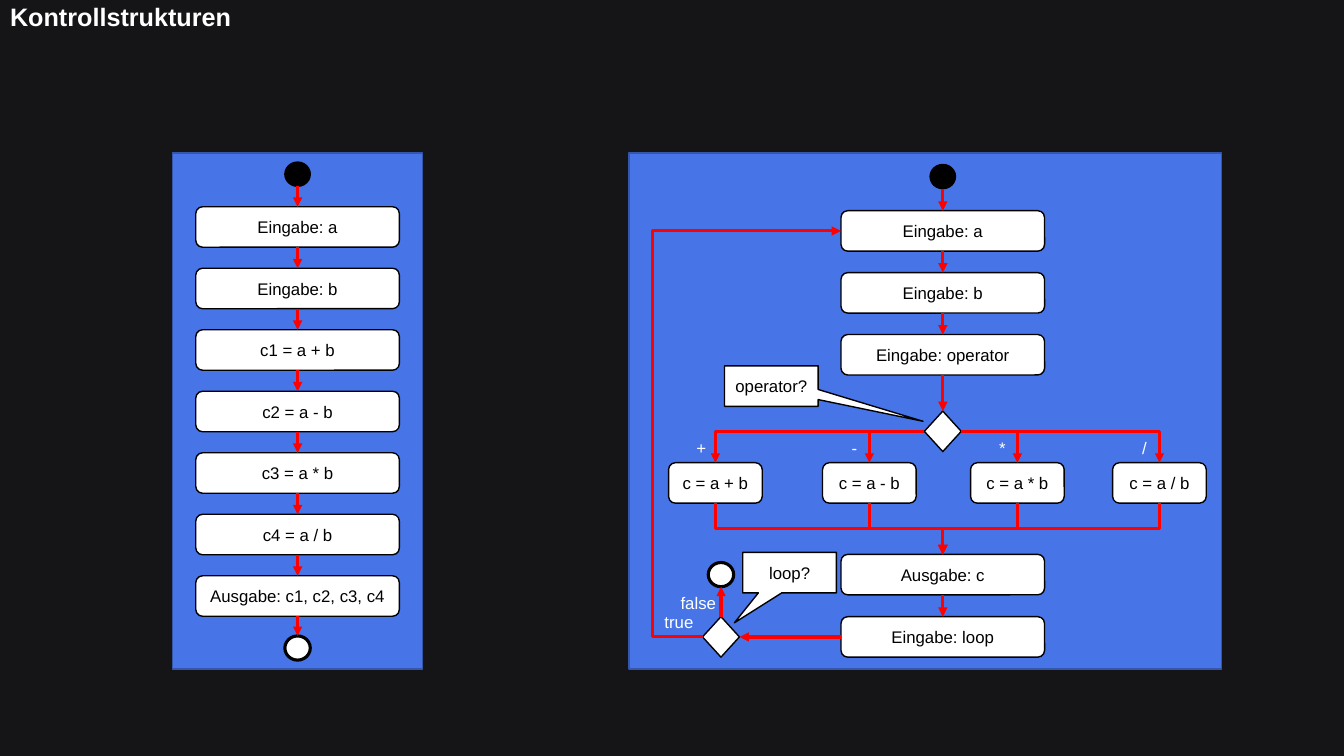
from dataclasses import dataclass

import lxml.etree
import pptx
import pptx.dml.color
import pptx.enum.shapes
import pptx.enum.text
import pptx.oxml.ns
import pptx.util

Cm = pptx.util.Cm
Pt = pptx.util.Pt
Kind = pptx.enum.shapes.MSO_SHAPE
Align = pptx.enum.text.PP_ALIGN
Route = pptx.enum.shapes.MSO_CONNECTOR
qn = pptx.oxml.ns.qn


@dataclass(frozen=True)
class Theme:
    font: str = "Arial"
    background: str = "151517"
    panel: str = "4775E7"
    panel_edge: str = "3557AB"
    light: str = "FFFFFF"
    dark: str = "000000"
    arrow: str = "FF0000"
    title_size: int = 18
    text_size: int = 12
    thin: float = 1
    thick: float = 2.25


THEME = Theme()


@dataclass(frozen=True)
class Node:
    """A shape placed by its centre, in centimetres."""
    x: float
    y: float
    width: float
    height: float
    kind: Kind
    text: str = ""
    fill: str = THEME.light
    edge: str = THEME.dark
    edge_width: float = THEME.thin
    adjustments: tuple[float, ...] = ()

    @property
    def left(self) -> tuple[float, float]:
        return self.x - self.width / 2, self.y

    @property
    def right(self) -> tuple[float, float]:
        return self.x + self.width / 2, self.y

    @property
    def top(self) -> tuple[float, float]:
        return self.x, self.y - self.height / 2

    @property
    def bottom(self) -> tuple[float, float]:
        return self.x, self.y + self.height / 2


@dataclass(frozen=True)
class Label:
    x: float
    y: float
    width: float
    text: str


def step(x: float, y: float, text: str, width: float = 5.13) -> Node:
    return Node(x, y, width, 1.02, Kind.ROUNDED_RECTANGLE, text)


def decision(x: float, y: float) -> Node:
    return Node(x, y, 0.93, 1.02, Kind.DIAMOND)


def start(x: float, y: float) -> Node:
    return Node(x, y, 0.64, 0.61, Kind.FLOWCHART_CONNECTOR, fill=THEME.dark)


def end(x: float, y: float) -> Node:
    return Node(x, y, 0.64, 0.61, Kind.FLOWCHART_CONNECTOR, edge_width=THEME.thick)


def callout(x: float, y: float, text: str, tip: tuple[float, float]) -> Node:
    return Node(x, y, 2.36, 1.02, Kind.RECTANGULAR_CALLOUT, text, adjustments=tip)


def panel(x: float, width: float) -> Node:
    return Node(x, 10.36, width, 13, Kind.RECTANGLE, fill=THEME.panel, edge=THEME.panel_edge)


def rgb(code: str) -> pptx.dml.color.RGBColor:
    return pptx.dml.color.RGBColor.from_string(code)


def write(para, text: str, color: str, size: int = THEME.text_size, bold: bool = False) -> None:
    span = para.add_run()
    span.text = text
    span.font.name = THEME.font
    span.font.size = Pt(size)
    span.font.bold = bold
    span.font.color.rgb = rgb(color)


def draw_node(page, node: Node) -> None:
    shape = page.shapes.add_shape(node.kind, Cm(node.left[0]), Cm(node.top[1]),
                                  Cm(node.width), Cm(node.height))
    shape.shadow.inherit = False
    shape.fill.solid()
    shape.fill.fore_color.rgb = rgb(node.fill)
    shape.line.color.rgb = rgb(node.edge)
    shape.line.width = Pt(node.edge_width)
    for index, value in enumerate(node.adjustments):
        shape.adjustments[index] = value
    if node.text:
        frame = shape.text_frame
        frame.margin_left = frame.margin_right = Cm(0.1)
        frame.vertical_anchor = pptx.enum.text.MSO_ANCHOR.MIDDLE
        frame.paragraphs[0].alignment = Align.CENTER
        write(frame.paragraphs[0], node.text, THEME.dark)


def draw_label(page, label: Label) -> None:
    height = 0.77
    box = page.shapes.add_textbox(Cm(label.x - label.width / 2), Cm(label.y - height / 2),
                                  Cm(label.width), Cm(height))
    box.text_frame.word_wrap = False
    para = box.text_frame.paragraphs[0]
    para.alignment = Align.CENTER
    write(para, label.text, THEME.light)


def draw_arrow(page, tail: tuple[float, float], head: tuple[float, float],
               route: Route = Route.STRAIGHT):
    line = page.shapes.add_connector(route, *(Cm(length) for length in (*tail, *head)))
    line.line.color.rgb = rgb(THEME.arrow)
    line.line.width = Pt(THEME.thick)
    properties = line._element.spPr
    lxml.etree.SubElement(properties.find(qn("a:ln")), qn("a:tailEnd"), type="triangle")
    lxml.etree.SubElement(properties, qn("a:effectLst"))
    return line


def draw_corner(page, tail: tuple[float, float], head: tuple[float, float]) -> None:
    """One bend: across, then down."""
    line = draw_arrow(page, tail, head, Route.ELBOW)
    line._element.spPr.find(qn("a:prstGeom")).set("prst", "bentConnector2")


def draw_merge(page, tail: tuple[float, float], head: tuple[float, float]) -> None:
    """Two bends: down, across and down, as a quarter-turned elbow."""
    x, y = (tail[0] + head[0]) / 2, (tail[1] + head[1]) / 2
    across, down = (head[0] - tail[0]) / 2, (head[1] - tail[1]) / 2
    side = 1 if across > 0 else -1
    line = draw_arrow(page, (x + side * down, y - abs(across)),
                      (x - side * down, y + abs(across)), Route.ELBOW)
    quarter_turns = 3 if across > 0 else 1
    line._element.spPr.find(qn("a:xfrm")).set("rot", str(quarter_turns * 5400000))


def draw_loop(page, tail: tuple[float, float], head: tuple[float, float], bend: float) -> None:
    line = draw_arrow(page, tail, head, Route.ELBOW)
    guides = line._element.spPr.find(qn("a:prstGeom")).get_or_add_avLst()
    lxml.etree.SubElement(guides, qn("a:gd"), name="adj1", fmla=f"val {round(bend * 100000)}")


def draw_chain(page, nodes: list[Node]) -> None:
    for upper, lower in zip(nodes, nodes[1:]):
        draw_arrow(page, upper.bottom, lower.top)


def draw_title(page, text: str) -> None:
    title = page.shapes.title
    title.left, title.top, title.width, title.height = Cm(0), Cm(0), Cm(33.87), Cm(0.94)
    frame = title.text_frame
    frame.auto_size = pptx.enum.text.MSO_AUTO_SIZE.NONE
    frame.vertical_anchor = pptx.enum.text.MSO_ANCHOR.MIDDLE
    para = frame.paragraphs[0]
    para.alignment = Align.LEFT
    para.line_spacing = 0.9
    write(para, text, THEME.light, THEME.title_size, bold=True)


def draw_sequence(page) -> None:
    x, first, pitch = 7.5, 5.72, 1.55
    texts = ["Eingabe: a", "Eingabe: b", "c1 = a + b", "c2 = a - b", "c3 = a * b",
             "c4 = a / b", "Ausgabe: c1, c2, c3, c4"]
    steps = [step(x, first + row * pitch, text) for row, text in enumerate(texts)]
    chain = [start(x, 4.39), *steps, end(x, 16.33)]
    for node in [panel(x, 6.3), *chain]:
        draw_node(page, node)
    draw_chain(page, chain)


def draw_calculator(page) -> None:
    x, first, pitch = 23.76, 5.82, 1.56
    texts = ["Eingabe: a", "Eingabe: b", "Eingabe: operator"]
    inputs = [step(x, first + row * pitch, text) for row, text in enumerate(texts)]
    choice = decision(x, 10.87)
    branches = {sign: step(centre, 12.17, f"c = a {sign} b", 2.36)
                for sign, centre in zip("+-*/", (18.03, 21.91, 25.64, 29.22))}
    output, again = step(x, 14.48, "Ausgabe: c"), step(x, 16.05, "Eingabe: loop")
    repeat, finish = decision(18.17, 16.05), end(18.17, 14.48)
    entry = [start(x, 4.45), *inputs, choice]
    callouts = [callout(19.44, 9.73, "operator?", (1.62, 0.87)),
                callout(19.9, 14.43, "loop?", (-0.59, 1.24))]
    for node in [panel(23.32, 14.94), *entry, *branches.values(), output, again,
                 repeat, finish, *callouts]:
        draw_node(page, node)

    draw_chain(page, entry)
    for sign, branch in branches.items():
        draw_corner(page, choice.left if branch.x < x else choice.right, branch.top)
        draw_merge(page, branch.bottom, output.top)
        draw_label(page, Label(branch.x - 0.38, 11.28, 0.7, sign))
    draw_chain(page, [output, again])
    draw_arrow(page, again.left, repeat.right)
    draw_arrow(page, repeat.top, finish.bottom)
    draw_loop(page, repeat.left, inputs[0].left, -0.36)
    for label in (Label(17.6, 15.19, 1.42, "false"), Label(17.11, 15.67, 1.24, "true")):
        draw_label(page, label)


def main() -> None:
    deck = pptx.Presentation()
    deck.slide_width, deck.slide_height = Cm(33.87), Cm(19.05)
    page = deck.slides.add_slide(deck.slide_layouts.get_by_name("Title Only"))
    page.background.fill.solid()
    page.background.fill.fore_color.rgb = rgb(THEME.background)
    draw_title(page, "Kontrollstrukturen")
    draw_sequence(page)
    draw_calculator(page)
    deck.save("out.pptx")


if __name__ == "__main__":
    main()
